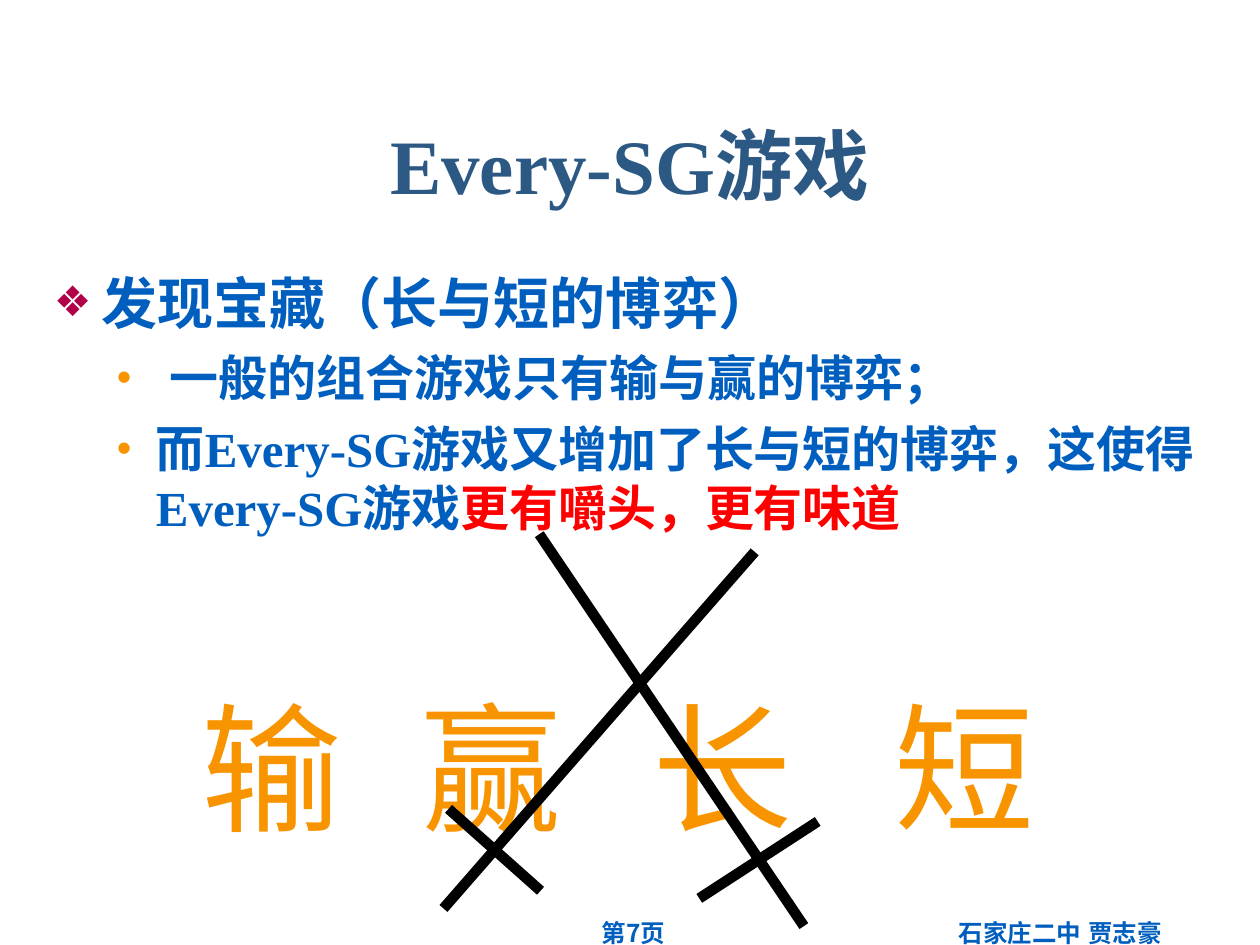
import pptx
import pptx.util
import pptx.dml.color
import pptx.enum.lang
import pptx.enum.shapes
import pptx.enum.text
import pptx.oxml.ns
from lxml import etree

Inches = pptx.util.Inches
Pt = pptx.util.Pt
Align = pptx.enum.text.PP_ALIGN
Anchor = pptx.enum.text.MSO_ANCHOR

BLUE, NAVY, ORANGE, CRIMSON = "005FBE", "2C5884", "F89400", "B20048"
RED, BLACK = "FF0000", "000000"
SERIF, SANS, CHINESE = "Times New Roman", "Arial", "Noto Sans CJK SC"


def color(value):
    return pptx.dml.color.RGBColor.from_string(value)


def child(parent, tag, **attributes):
    return etree.SubElement(parent, pptx.oxml.ns.qn(tag), attributes)


class SlideBuilder:
    line_factor = 1.2
    stroke_width = 6

    def __init__(self, slide):
        self.slide = slide

    def text_frame(self, left, top, width, height, anchor=Anchor.TOP):
        box = self.slide.shapes.add_textbox(
            Inches(left), Inches(top), Inches(width), Inches(height))
        settings = {"word_wrap": True, "vertical_anchor": anchor}
        for name, value in settings.items():
            setattr(box.text_frame, name, value)
        return box.text_frame

    def fill_paragraph(self, paragraph, runs, size, bold=True, spacing=None, **formats):
        formats["line_spacing"] = Pt(spacing or size * self.line_factor)
        for name, value in formats.items():
            setattr(paragraph, name, value)
        for text, font, ink in runs:
            run = paragraph.add_run()
            run.text = text
            run.font.color.rgb = color(ink)
            settings = {
                "name": font, "size": Pt(size), "bold": bold,
                "language_id": pptx.enum.lang.MSO_LANGUAGE_ID.SIMPLIFIED_CHINESE,
            }
            for name, value in settings.items():
                setattr(run.font, name, value)
            asian = SANS if bold else font
            child(run.font._element, "a:ea", typeface=asian)

    def label(self, place, text, size, font, ink, anchor=Anchor.TOP, **formats):
        frame = self.text_frame(*place, anchor=anchor)
        self.fill_paragraph(frame.paragraphs[0], [(text, font, ink)], size, **formats)

    def bullets(self, place, items, styles):
        frame = self.text_frame(*place)
        for index, (level, runs) in enumerate(items):
            paragraph = frame.add_paragraph() if index else frame.paragraphs[0]
            style = styles[level]
            self.fill_paragraph(paragraph, runs, style["size"], level=level,
                                space_before=Pt(style["before"]))
            properties = paragraph._p.get_or_add_pPr()
            properties.set("marL", str(Inches(style["margin"])))
            properties.set("indent", str(-Inches(style["hang"])))
            child(child(properties, "a:buClr"), "a:srgbClr", val=style["color"])
            child(properties, "a:buSzPct", val=str(style["percent"] * 1000))
            child(properties, "a:buFont", typeface=SANS)
            child(properties, "a:buChar", char=style["mark"])

    def sword(self, *strokes):
        group = self.slide.shapes.add_group_shape()
        for ends in strokes:
            stroke = group.shapes.add_connector(
                pptx.enum.shapes.MSO_CONNECTOR.STRAIGHT, *map(Inches, ends))
            stroke.line.color.rgb = color(BLACK)
            stroke.line.width = Pt(self.stroke_width)
            child(stroke._element.spPr, "a:effectLst")


def main():
    deck = pptx.Presentation()
    deck.slide_width, deck.slide_height = Inches(10), Inches(7.5)
    builder = SlideBuilder(deck.slides.add_slide(deck.slide_layouts[6]))

    builder.label((6.83, 7.24, 3.17, 0.52), "石家庄二中 贾志豪", 14, SANS, BLUE,
                  alignment=Align.CENTER)
    builder.label((3.78, 7.24, 2.5, 0.52), "第7页", 14, "Noto Sans CJK KR", BLUE,
                  alignment=Align.CENTER)
    builder.label((0.33, 0.67, 9.34, 1.25), "Every-SG游戏", 44, SERIF, NAVY,
                  anchor=Anchor.MIDDLE, alignment=Align.CENTER)

    styles = [
        {"size": 32, "before": 8, "margin": 0.38, "hang": 0.38,
         "mark": "❖", "color": CRIMSON, "percent": 75},
        {"size": 28, "before": 7, "margin": 0.81, "hang": 0.31,
         "mark": "•", "color": ORANGE, "percent": 85},
    ]
    points = [
        (0, [("发现宝藏（长与短的博弈）", SANS, BLUE)]),
        (1, [(" 一般的组合游戏只有输与赢的博弈；", SANS, BLUE)]),
        (1, [("而", SANS, BLUE),
             ("Every-SG游戏又增加了", SERIF, BLUE),
             ("长与短的博弈，", SANS, BLUE),
             ("这使得", CHINESE, BLUE),
             ("Every-SG", SERIF, BLUE),
             ("游戏", CHINESE, BLUE),
             ("更有嚼头，更有味道", SANS, RED)]),
    ]
    builder.bullets((0.33, 2.08, 9.34, 4.59), points, styles)

    for outcome, left in zip("输赢长短", (1.5, 3.25, 5.08, 7)):
        builder.label((left, 5.25, 1.5, 1.44), outcome, 80, "Noto Sans Mono", ORANGE,
                      bold=False, spacing=104, space_before=Pt(50))

    builder.sword((5.99, 4.38, 3.52, 7.21), (3.56, 6.42, 4.29, 7.07))
    builder.sword((5.55, 7.13, 6.49, 6.52), (4.28, 4.24, 6.38, 7.35))

    deck.save("out.pptx")


if __name__ == "__main__":
    main()
